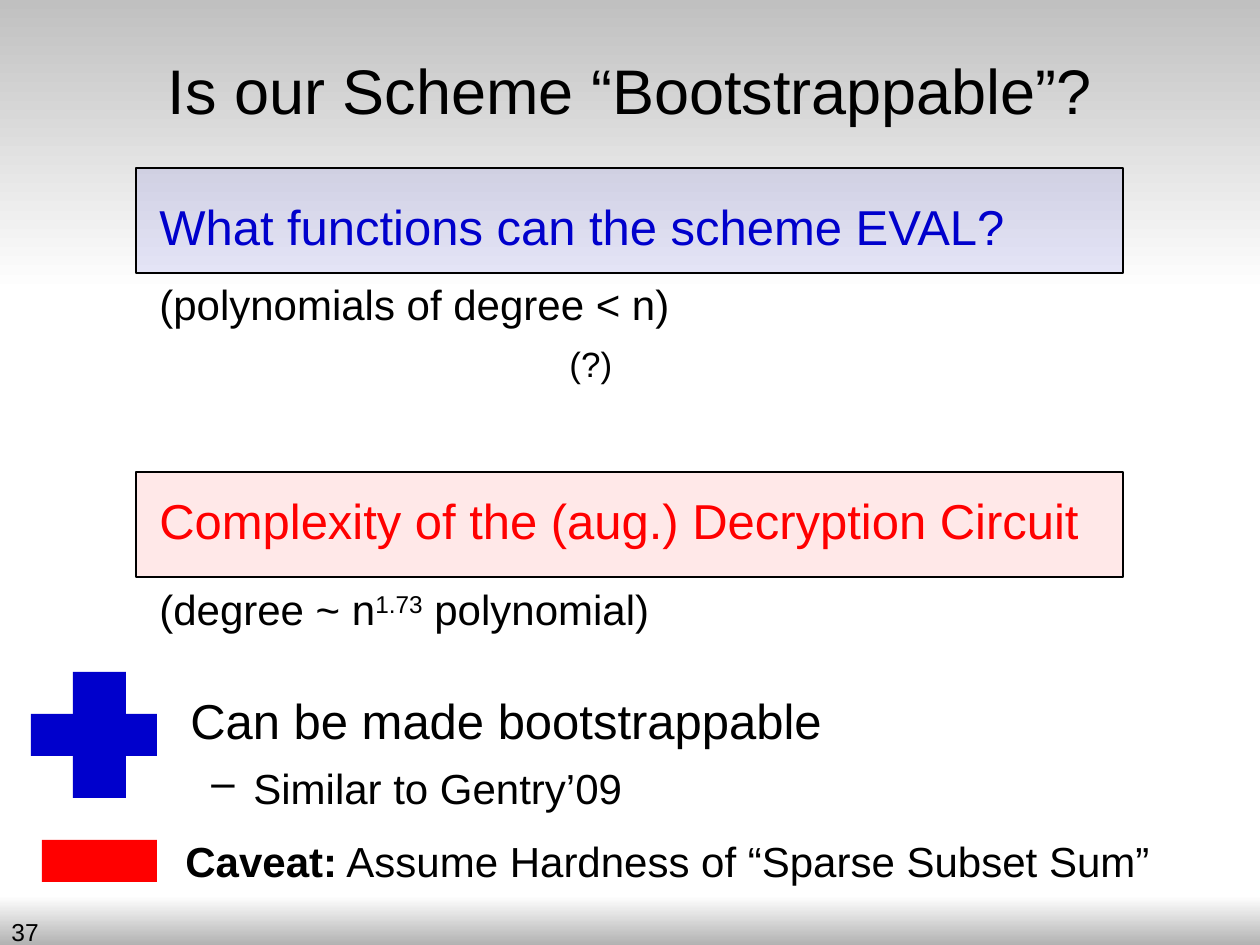
from lxml.etree import SubElement
from pptx import Presentation
from pptx.dml.color import RGBColor
from pptx.enum.shapes import MSO_SHAPE
from pptx.enum.text import MSO_ANCHOR, PP_ALIGN
from pptx.oxml.ns import qn
from pptx.util import Pt

SCALE = 914400 / 126
BLACK, BLUE, RED = "000000", "0000CC", "FF0000"


def color(value):
    return RGBColor.from_string(value)


def emu(*pixels):
    return [round(pixel * SCALE) for pixel in pixels]


deck = Presentation()
deck.slide_width, deck.slide_height = emu(1260, 945)
page = deck.slides.add_slide(deck.slide_layouts[5])
title = page.shapes.title
plus = page.shapes.add_group_shape()

bands = [
    ((0, 896, 1260, 49), ("FFFFFF", "B2B2B2")),
    ((0, 0, 1260, 293), ("C0C0C0", "FFFFFF")),
]
for place, shades in bands:
    band = page.shapes.add_shape(MSO_SHAPE.RECTANGLE, *emu(*place))
    band.shadow.inherit = False
    band.line.fill.background()
    band.fill.gradient()
    band.fill.gradient_angle = 270
    for stop, shade in zip(band.fill.gradient_stops, shades):
        stop.color.rgb = color(shade)

for top, tint in [(168, BLUE), (472, RED)]:
    panel = page.shapes.add_shape(MSO_SHAPE.RECTANGLE, *emu(136, top, 987, 105))
    panel.shadow.inherit = False
    panel.fill.solid()
    panel.fill.fore_color.rgb = color(tint)
    tint_node = panel._element.spPr.find(qn("a:solidFill")).find(qn("a:srgbClr"))
    SubElement(tint_node, qn("a:alpha"), val="9000")
    panel.line.color.rgb = color(BLACK)
    panel.line.width = Pt(0.75)

bars = [
    (plus, (31, 714, 126, 42), BLUE),
    (plus, (73, 672, 53, 126), BLUE),
    (page, (42, 840, 115, 42), RED),
]
for owner, place, tint in bars:
    bar = owner.shapes.add_shape(MSO_SHAPE.RECTANGLE, *emu(*place))
    bar.shadow.inherit = False
    bar.fill.solid()
    bar.fill.fore_color.rgb = color(tint)
    bar.line.fill.background()

page.shapes._spTree.append(title._element)
page.shapes._spTree.append(plus._element)

title.left, title.top, title.width, title.height = emu(0, 10, 1260, 158)
middle, top_anchor = MSO_ANCHOR.MIDDLE, MSO_ANCHOR.TOP
texts = [
    (title, middle, 36, BLACK, [("Is our Scheme “Bootstrappable”?", {})]),
    ((147, 189, 892, 73), middle, 28, BLUE,
     [("What functions can the scheme EVAL?", {})]),
    ((147, 483, 1061, 73), middle, 28, RED,
     [("Complexity of the (aug.) Decryption Circuit", {})]),
    ((557, 336, 84, 54), top_anchor, 20, BLACK, [("(?)", {})]),
    ((178, 662, 872, 116), middle, 28, BLACK, [("Can be made bootstrappable", {})]),
    ((199, 746, 620, 84), middle, 24, BLACK, [("Similar to Gentry’09", {"bullet": "–"})]),
    ((173, 819, 1077, 84), middle, 24, BLACK,
     [("Caveat:", {"bold": True}), (" Assume Hardness of “Sparse Subset Sum”", {})]),
    ((147, 262, 620, 84), middle, 24, BLACK, [("(polynomials of degree < n)", {})]),
    ((147, 567, 620, 84), middle, 24, BLACK,
     [("(degree ~ n", {}), ("1.73", {"baseline": "30000"}), (" polynomial)", {})]),
    ((-1, 911, 294, 34), top_anchor, 14, BLACK, [("37", {})]),
]
for place, anchor, size, tint, pieces in texts:
    box = title if place is title else page.shapes.add_textbox(*emu(*place))
    frame = box.text_frame
    frame.word_wrap = True
    frame.vertical_anchor = anchor
    para = frame.paragraphs[0]
    para.alignment = PP_ALIGN.CENTER if box is title else PP_ALIGN.LEFT
    for wording, extras in pieces:
        if "bullet" in extras:
            indent = emu(42)[0]
            properties = para._p.get_or_add_pPr()
            properties.set("marL", str(indent))
            properties.set("indent", str(-indent))
            SubElement(properties, qn("a:buChar"), char=extras["bullet"])
        span = para.add_run()
        span.text = wording
        formats = {"name": "Arial", "size": Pt(size), "bold": extras.get("bold", False)}
        for attribute, value in formats.items():
            setattr(span.font, attribute, value)
        span.font.color.rgb = color(tint)
        if "baseline" in extras:
            span._r.get_or_add_rPr().set("baseline", extras["baseline"])

deck.save("out.pptx")
